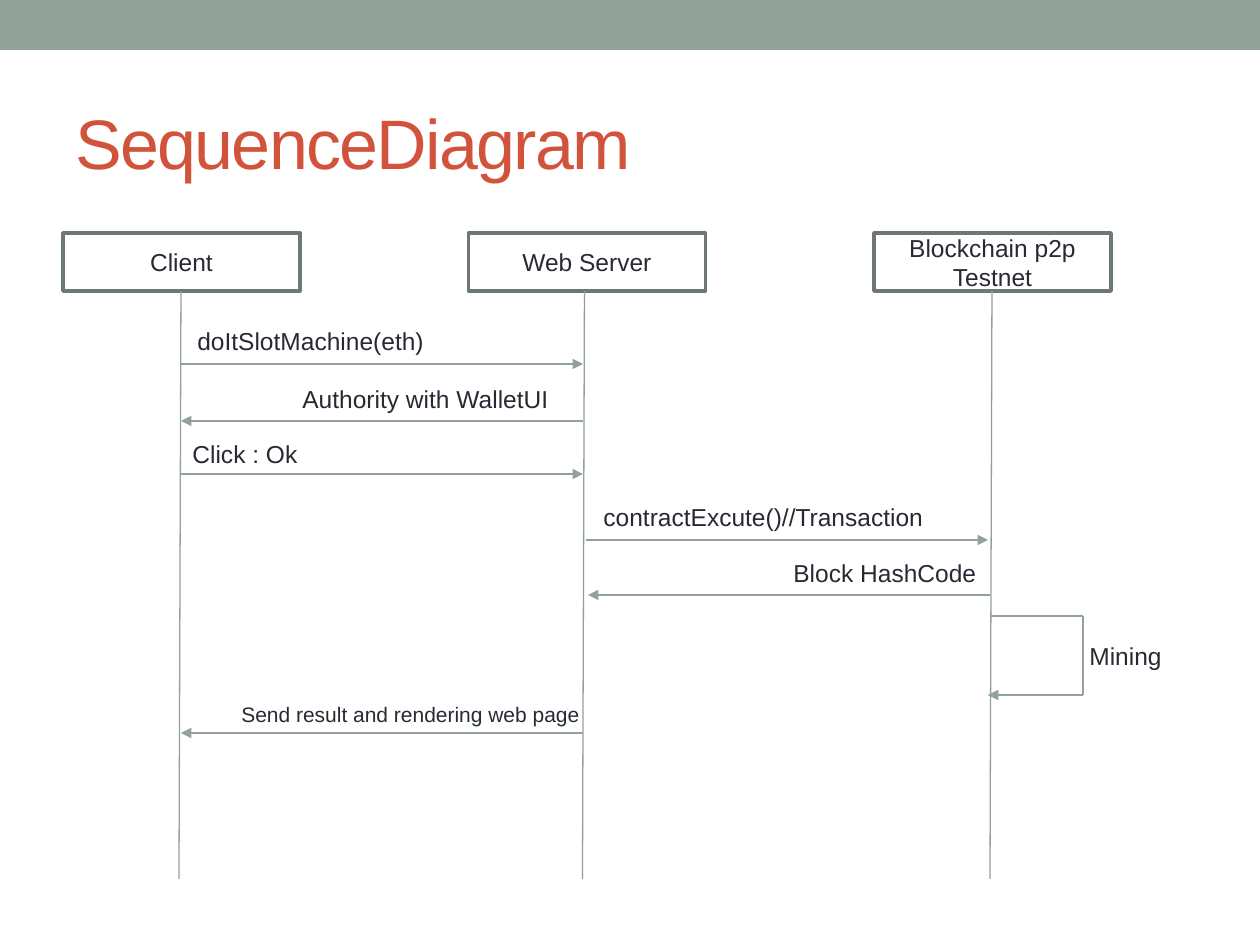
import pptx
import pptx.dml.color
import pptx.enum.shapes
import pptx.enum.text
import pptx.oxml
import pptx.oxml.ns
import pptx.util

PX = 914400 / 126  # EMU per px
GREEN, DARK_GREEN, RED, INK = "93A299", "6D7871", "D2533C", "292934"
ALIGN = pptx.enum.text.PP_ALIGN
ANCHOR = pptx.enum.text.MSO_ANCHOR
SHAPE = pptx.enum.shapes.MSO_SHAPE


def emu(*lengths):
    return [round(n * PX) for n in lengths]


def color(value):
    return pptx.dml.color.RGBColor.from_string(value)


def write(tf, text, size=14, fill=INK, align=ALIGN.LEFT, anchor=ANCHOR.TOP,
          wrap=True, spacing=None):
    tf.word_wrap = wrap
    tf.auto_size = pptx.enum.text.MSO_AUTO_SIZE.NONE
    tf.vertical_anchor = anchor
    p = tf.paragraphs[0]
    p.alignment = align
    r = p.add_run()
    r.text = text
    r.font.name = "Arial"
    r.font.size = pptx.util.Pt(size)
    r.font.color.rgb = color(fill)
    if spacing is not None:
        r.font._element.set("spc", str(spacing))


def add_rect(slide, box, fill=None, line=None, width=2.08):
    sp = slide.shapes.add_shape(SHAPE.RECTANGLE, *emu(*box))
    sp.shadow.inherit = False
    if fill:
        sp.fill.solid()
        sp.fill.fore_color.rgb = color(fill)
    else:
        sp.fill.background()
    if line:
        sp.line.color.rgb = color(line)
        sp.line.width = pptx.util.Pt(width)
    else:
        sp.line.fill.background()
    return sp


def add_line(slide, x1, y1, x2, y2, arrow=False):
    cn = slide.shapes.add_connector(
        pptx.enum.shapes.MSO_CONNECTOR.STRAIGHT, *emu(x1, y1, x2, y2))
    cn.line.color.rgb = color(GREEN)
    cn.line.width = pptx.util.Pt(0.75)
    if arrow:
        tail = pptx.oxml.parse_xml(
            f'<a:tailEnd {pptx.oxml.ns.nsdecls("a")} type="triangle"/>')
        cn.line._get_or_add_ln().append(tail)
    cn._element.spPr.append(pptx.oxml.parse_xml(
        f'<a:effectLst {pptx.oxml.ns.nsdecls("a")}/>'))


def add_label(slide, text, left, top, width, size=14):
    sp = slide.shapes.add_textbox(*emu(left, top, width, 43))
    write(sp.text_frame, text, size=size, wrap=False)


def add_header(slide, box):
    x, y, w, h = box
    add_rect(slide, (x, y, w, 50), fill=GREEN)
    title = slide.shapes.title
    title.left, title.top, title.width, title.height = emu(
        x + 63, y + 73, w - 126, h - 73)
    write(title.text_frame, "SequenceDiagram", size=40, fill=RED,
          anchor=ANCHOR.MIDDLE, spacing=-100)


def add_lane(slide, box, name, axis):
    """Name box with its slightly slanted lifeline; axis is its x offset."""
    x, y, w, h = box
    sp = add_rect(slide, (x, y, w, 58), line=DARK_GREEN)
    write(sp.text_frame, name, align=ALIGN.CENTER, anchor=ANCHOR.MIDDLE)
    add_line(slide, x + axis, y + 58, x + axis - 2, y + h)


def add_message(slide, box, text, indent, text_width, to_left=False, size=14):
    """Label above an arrow that runs along the bottom of the box."""
    x, y, w, h = box
    ends = (x + w, x) if to_left else (x, x + w)
    add_line(slide, ends[0], y + h, ends[1], y + h, arrow=True)
    add_label(slide, text, x + indent, y, text_width, size)


def add_self_call(slide, box, text):
    x, y, w, h = box
    add_line(slide, x, y, x + w, y)
    add_line(slide, x + w, y, x + w, y + h)
    add_line(slide, x + w, y + h, x - 2, y + h, arrow=True)
    add_label(slide, text, x + w - 6, y + 19, 98)


def add_sequence(slide, box):
    x, y, w, h = box
    # Participants
    lanes = [("Client", 118), ("Web Server", 116), ("Blockchain p2p Testnet", 118)]
    lane_w = 237
    step = (w - lane_w) / (len(lanes) - 1)
    for i, (name, axis) in enumerate(lanes):
        add_lane(slide, (x + i * step, y, lane_w, h), name, axis)

    # Messages: left, top, height, text, indent, text width, options
    client, server = 118, 523
    messages = [
        (client, 87, 44, "doItSlotMachine(eth)", 4, 253, {}),
        (client, 145, 43, "Authority with WalletUI", 109, 295, {"to_left": True}),
        (client, 200, 41, "Click : Ok", -1, 131, {}),
        (server, 263, 44, "contractExcute()//Transaction", 5, 347, {}),
        (server + 2, 319, 43, "Block HashCode", 193, 209, {"to_left": True}),
        (client, 462, 38, "Send result and rendering web page", 48, 365,
         {"to_left": True, "size": 12}),
    ]
    for left, top, height, text, indent, text_w, options in messages:
        add_message(slide, (x + left, y + top, 402, height), text, indent,
                    text_w, **options)
    add_self_call(slide, (x + 927, y + 383, 93, 79), "Mining")


def main():
    prs = pptx.Presentation()
    prs.slide_width, prs.slide_height = emu(1260, 945)
    slide = prs.slides.add_slide(prs.slide_layouts[5])
    add_header(slide, (0, 0, 1260, 209))
    add_sequence(slide, (63, 233, 1048, 646))
    prs.save("out.pptx")


if __name__ == "__main__":
    main()
